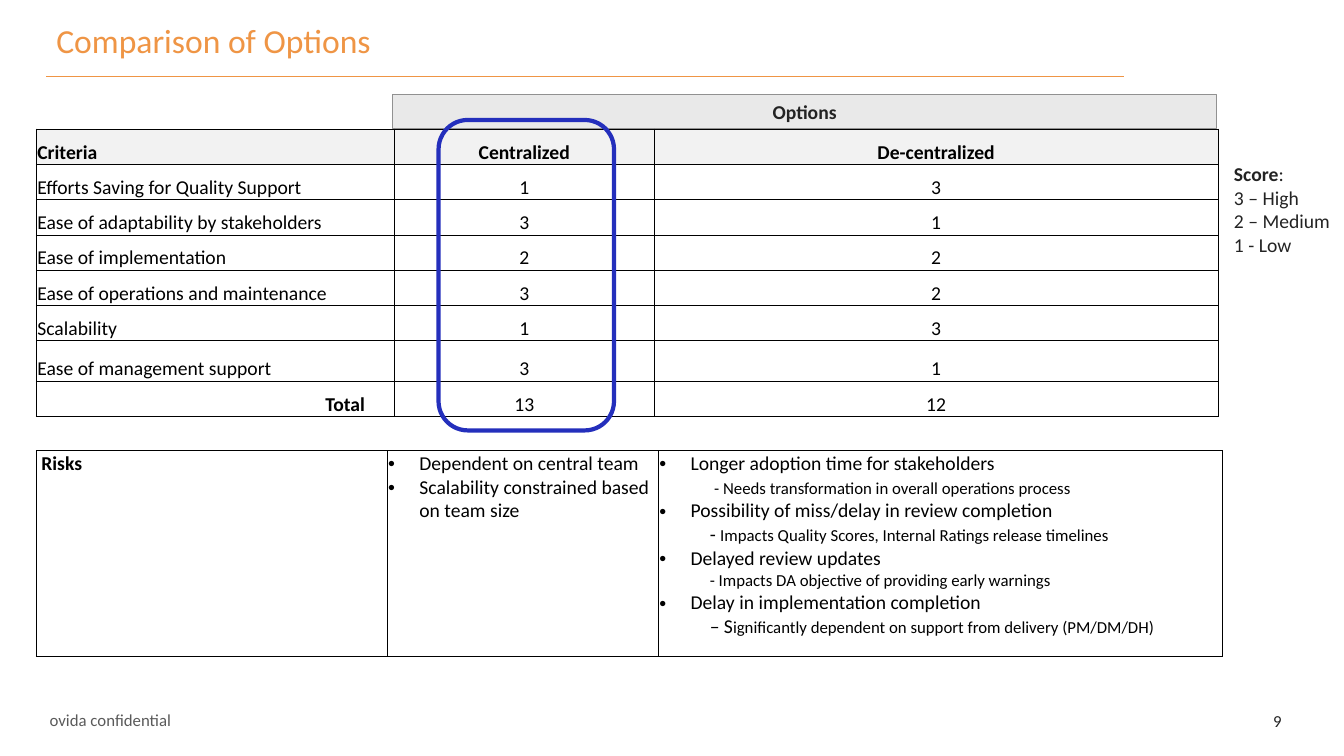
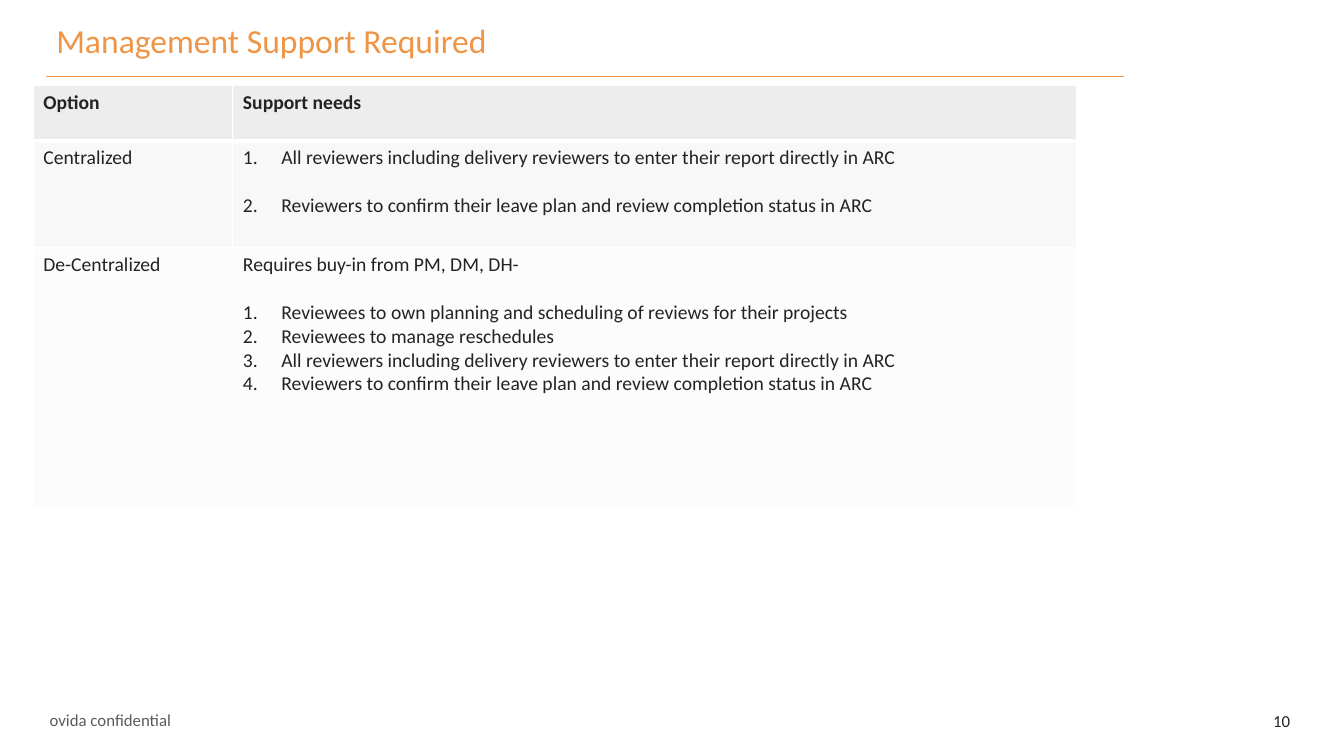
"""Build two slides comparing review options and the management support they need."""
from dataclasses import dataclass
from typing import Optional

from lxml import etree
from pptx import Presentation
from pptx.dml.color import RGBColor
from pptx.enum.shapes import MSO_CONNECTOR, MSO_SHAPE
from pptx.enum.text import MSO_ANCHOR, PP_ALIGN
from pptx.oxml.ns import qn
from pptx.util import Inches, Pt

LEFT, CENTER, RIGHT = PP_ALIGN.LEFT, PP_ALIGN.CENTER, PP_ALIGN.RIGHT
TOP, MIDDLE, BOTTOM = MSO_ANCHOR.TOP, MSO_ANCHOR.MIDDLE, MSO_ANCHOR.BOTTOM
RECT, ROUNDED = MSO_SHAPE.RECTANGLE, MSO_SHAPE.ROUNDED_RECTANGLE
STRAIGHT = MSO_CONNECTOR.STRAIGHT

FONT = "Calibri"
COLORS = {
    "accent": "EF9545", "text": "232323", "footer": "5A5A5A",
    "black": "000000", "white": "FFFFFF", "band": "E9E9E9",
    "band_line": "919191", "criteria": "F2F2F2", "highlight": "242FBC",
    "support_head": "ECEDEC", "support_1": "F8F8F8", "support_2": "FBFCFB",
}
LINE_GAP = 17
TIGHT = (0.01, 0.01, 0.01, 0)
ROOMY = (0.1, 0.05, 0.1, 0.05)


@dataclass
class Run:
    """A stretch of text in one format."""
    text: str
    size: float = 14
    bold: bool = False
    color: str = "text"


@dataclass
class Para:
    """A paragraph with its alignment, indents, bullet and spacing."""
    runs: list[Run]
    align: PP_ALIGN = LEFT
    indent: float = 0
    hanging: float = 0
    bullet: str = ""
    before: float = 0
    after: float = 0
    spacing: Optional[float] = None


@dataclass
class Cell:
    """A table cell with its text, fill and insets."""
    paras: list[Para]
    fill: str = ""
    insets: tuple[float, float, float, float] = TIGHT
    anchor: MSO_ANCHOR = TOP


@dataclass
class Grid:
    """A table with its place, track sizes and borders."""
    left: float
    top: float
    cols: list[float]
    rows: list[float]
    cells: list[list[Cell]]
    border: str = "black"
    width: float = 0.5
    head_width: float = 0.5


def rgb(name: str) -> RGBColor:
    """Return a palette colour."""
    return RGBColor.from_string(COLORS[name])


def write(tf, paras: list[Para]) -> None:
    """Fill a text frame run by run."""
    for i, para in enumerate(paras):
        p = tf.add_paragraph() if i else tf.paragraphs[0]
        p.alignment = para.align
        p.space_before, p.space_after = Pt(para.before), Pt(para.after)
        if para.spacing:
            p.line_spacing = para.spacing
        if para.indent:
            props = p._p.get_or_add_pPr()
            props.set("marL", str(Inches(para.indent)))
            props.set("indent", str(-Inches(para.hanging)))
            if para.bullet == "number":
                etree.SubElement(props, qn("a:buFont"), typeface=FONT)
                etree.SubElement(props, qn("a:buAutoNum"), type="arabicPeriod")
            elif para.bullet:
                etree.SubElement(props, qn("a:buFont"), typeface="Arial")
                etree.SubElement(props, qn("a:buChar"), char=para.bullet)
        for run in para.runs:
            r = p.add_run()
            r.text = run.text
            r.font.name, r.font.size, r.font.bold = FONT, Pt(run.size), run.bold
            r.font.color.rgb = rgb(run.color)


def add_text(s, box: tuple, paras: list[Para], anchor: MSO_ANCHOR = TOP,
             wrap: bool = True) -> None:
    """Add a text box."""
    tf = s.shapes.add_textbox(*map(Inches, box)).text_frame
    tf.word_wrap, tf.vertical_anchor = wrap, anchor
    write(tf, paras)


def add_box(s, kind: MSO_SHAPE, box: tuple, line: str, width: float, fill: str = ""):
    """Add an outlined preset shape and return it."""
    sp = s.shapes.add_shape(kind, *map(Inches, box))
    sp.shadow.inherit = False
    sp.line.color.rgb, sp.line.width = rgb(line), Pt(width)
    set_fill(sp.fill, fill)
    return sp


def set_fill(fill, color: str) -> None:
    """Apply a solid fill, or none for an empty name."""
    if color:
        fill.solid()
        fill.fore_color.rgb = rgb(color)
    else:
        fill.background()


def set_borders(cell, color: str, widths: dict[str, float]) -> None:
    """Draw the sides of a cell."""
    props = cell._tc.get_or_add_tcPr()
    for i, (side, width) in enumerate(widths.items()):
        ln = etree.Element(qn(f"a:ln{side}"), w=str(Pt(width)))
        solid = etree.SubElement(ln, qn("a:solidFill"))
        etree.SubElement(solid, qn("a:srgbClr"), val=COLORS[color])
        props.insert(i, ln)


def add_grid(s, grid: Grid) -> None:
    """Add a table with explicit fills and borders."""
    box = (grid.left, grid.top, sum(grid.cols), sum(grid.rows))
    table = s.shapes.add_table(len(grid.rows), len(grid.cols), *map(Inches, box)).table
    table.first_row = table.horz_banding = False
    for col, width in zip(table.columns, grid.cols):
        col.width = Inches(width)
    for i, (row, height) in enumerate(zip(table.rows, grid.rows)):
        row.height = Inches(height)
        for cell, data in zip(row.cells, grid.cells[i]):
            (cell.margin_left, cell.margin_top, cell.margin_right,
             cell.margin_bottom) = map(Inches, data.insets)
            cell.vertical_anchor = data.anchor
            write(cell.text_frame, data.paras)
            set_fill(cell.fill, data.fill)
            set_borders(cell, grid.border, {
                "L": grid.width, "R": grid.width,
                "T": grid.head_width if i == 1 else grid.width,
                "B": grid.head_width if i == 0 else grid.width,
            })


def add_page(prs, title: str, number: int):
    """Add a slide with the shared title, rule and footer."""
    s = prs.slides.add_slide(prs.slide_layouts[6])
    rule = s.shapes.add_connector(STRAIGHT, *map(Inches, (0.46, 0.76, 11.15, 0.76)))
    rule.line.color.rgb, rule.line.width = rgb("accent"), Pt(1)
    etree.SubElement(rule._element.spPr, qn("a:effectLst"))
    add_text(s, (0.18, 7.02, 1.83, 0.25),
             [Para([Run("ovida confidential", 12, color="footer")], CENTER)], MIDDLE)
    add_text(s, (12.53, 7, 0.4, 0.3), [Para([Run(str(number), 12)])], wrap=False)
    add_text(s, (0.46, 0.19, 10.69, 0.66),
             [Para([Run(title, 24, color="accent")], spacing=0.9)])
    return s


def score_cell(text: str, align: PP_ALIGN = CENTER, bold: bool = False,
               fill: str = "", insets: tuple = TIGHT) -> Cell:
    """Return a cell of the criteria table."""
    return Cell([Para([Run(text, bold=bold, color="black")], align)], fill, insets, BOTTOM)


def risk(text: str) -> Para:
    """Return a bulleted risk."""
    return Para([Run(text, color="black")], indent=0.31, hanging=0.31, bullet="•")


def impact(lead: str, text: str) -> Para:
    """Return the smaller line under a risk, after a full-size lead."""
    runs = [Run(lead, color="black")] if lead else []
    return Para(runs + [Run(text, 12, color="black")], indent=0.5)


def need(text: str, before: float = 0) -> Para:
    """Return a numbered support need."""
    return Para([Run(text)], indent=0.38, hanging=0.38, bullet="number", before=before)


def support_row(option: str, needs: list[Para], fill: str, bold: bool = False) -> list[Cell]:
    """Return a row of the support table."""
    return [Cell(paras, fill, ROOMY) for paras in ([Para([Run(option, bold=bold)])], needs)]


def build_comparison(prs) -> None:
    """Build the scored comparison with its risks."""
    s = add_page(prs, "Comparison of Options", 9)
    band = add_box(s, RECT, (3.89, 0.94, 8.18, 0.34), "band_line", 0.75, "band")
    band.text_frame.vertical_anchor = MIDDLE
    write(band.text_frame, [Para([Run("Options", bold=True)], CENTER)])
    levels = ["3 – High", "2 – Medium", "1 - Low"]
    add_text(s, (12.14, 1.56, 1.19, 1.04),
             [Para([Run("Score", bold=True), Run(":")])]
             + [Para([Run(level)]) for level in levels], wrap=False)

    scores = [
        ("Efforts Saving for Quality Support", 1, 3),
        ("Ease of adaptability by stakeholders", 3, 1),
        ("Ease of implementation", 2, 2),
        ("Ease of operations and maintenance", 3, 2),
        ("Scalability", 1, 3),
        ("Ease of management support", 3, 1),
    ]
    heads = [("Criteria", LEFT), ("Centralized", CENTER), ("De-centralized", CENTER)]
    cells = [[score_cell(text, align, True, "criteria") for text, align in heads]]
    cells += [[score_cell(name, LEFT), score_cell(str(a)), score_cell(str(b))]
              for name, a, b in scores]
    totals = [str(sum(row[i] for row in scores)) for i in (1, 2)]
    cells.append([score_cell("Total", RIGHT, True, insets=(0.01, 0.01, 0.29, 0))]
                 + [score_cell(total) for total in totals])
    add_grid(s, Grid(0.36, 1.28, [3.55, 2.58, 5.59], [0.35] * 6 + [0.4, 0.35], cells))
    add_box(s, ROUNDED, (4.35, 1.19, 1.74, 3.08), "highlight", 3)

    risks = [
        Cell([Para([Run("Risks", bold=True, color="black")])], insets=(0.05, 0.01, 0.01, 0)),
        Cell([risk("Dependent on central team"),
              risk("Scalability constrained based on team size")]),
        Cell([
            risk("Longer adoption time for stakeholders"),
            impact(" ", "- Needs transformation in overall operations process"),
            risk("Possibility of miss/delay in review completion"),
            impact("- ", "Impacts Quality Scores, Internal Ratings release timelines"),
            risk("Delayed review updates"),
            impact("", "- Impacts DA objective of providing early warnings"),
            risk("Delay in implementation completion"),
            impact("– S", "ignificantly dependent on support from delivery (PM/DM/DH)"),
        ]),
    ]
    add_grid(s, Grid(0.36, 4.47, [3.48, 2.69, 5.59], [2.04], [risks]))


def build_support(prs) -> None:
    """Build the table of management support."""
    s = add_page(prs, "Management Support Required", 10)
    report = "All reviewers including delivery reviewers to enter their report directly in ARC"
    confirm = "Reviewers to confirm their leave plan and review completion status in ARC"
    cells = [
        support_row("Option", [Para([Run("Support needs", bold=True)])], "support_head", True),
        support_row("Centralized", [need(report), need(confirm, LINE_GAP)], "support_1"),
        support_row("De-Centralized", [
            Para([Run("Requires buy-in from PM, DM, DH-")], after=LINE_GAP),
            need("Reviewees to own planning and scheduling of reviews for their projects"),
            need("Reviewees to manage reschedules"),
            need(report),
            need(confirm),
        ], "support_2"),
    ]
    add_grid(s, Grid(0.33, 0.85, [1.98, 8.37], [0.55, 1.06, 2.58], cells, "white", 1, 3))


def main() -> None:
    """Build and save the presentation."""
    prs = Presentation()
    prs.slide_width, prs.slide_height = Inches(13.33), Inches(7.5)
    build_comparison(prs)
    build_support(prs)
    prs.save("out.pptx")


main()
